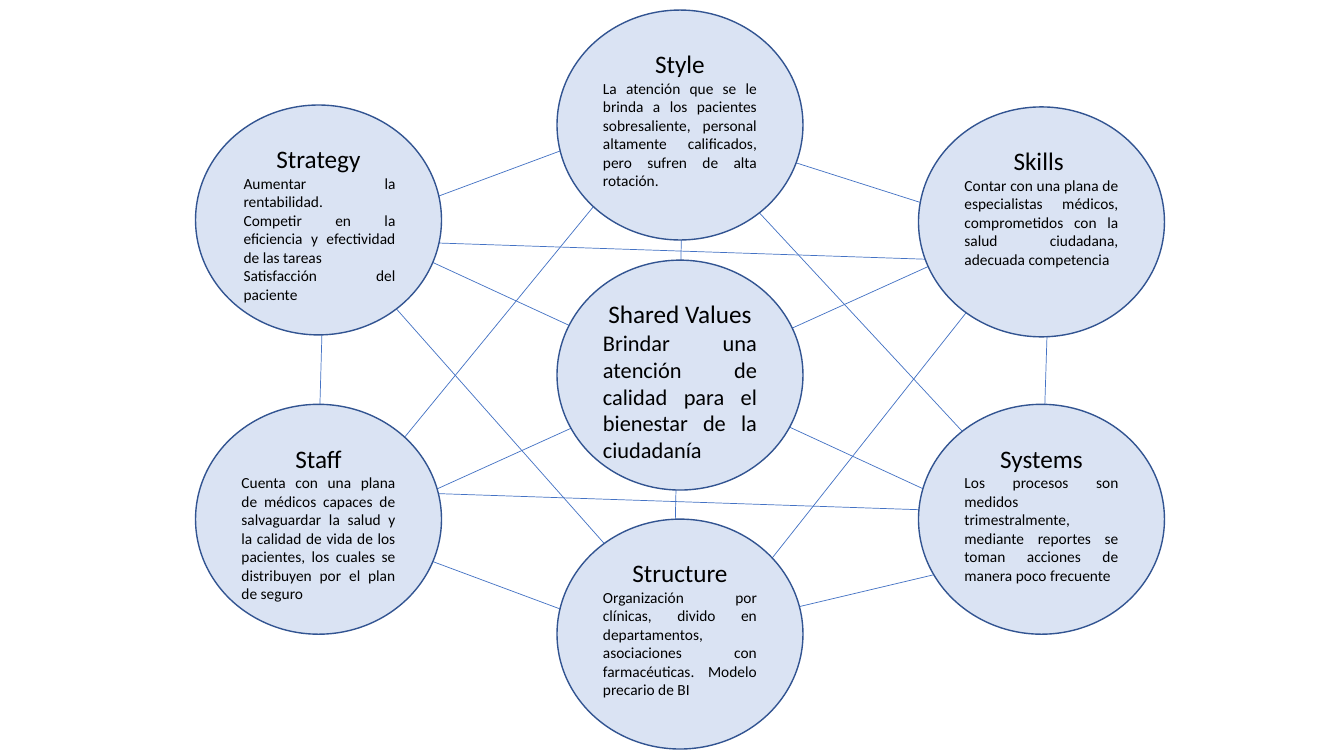
"""Build a 7S diagram: six outer circles linked around the shared values."""
from lxml import etree
from pptx import Presentation
from pptx.dml.color import RGBColor
from pptx.enum.shapes import MSO_CONNECTOR, MSO_SHAPE
from pptx.enum.text import MSO_ANCHOR, PP_ALIGN
from pptx.oxml.ns import qn
from pptx.util import Pt

ELLIPSE, STRAIGHT = MSO_SHAPE.OVAL, MSO_CONNECTOR.STRAIGHT
TOP, CENTER, JUSTIFY = MSO_ANCHOR.TOP, PP_ALIGN.CENTER, PP_ALIGN.JUSTIFY

WHITE = RGBColor(0xFF, 0xFF, 0xFF)
BLACK = RGBColor(0, 0, 0)
PALE_BLUE = RGBColor(0xDA, 0xE3, 0xF3)
DARK_BLUE = RGBColor(0x32, 0x54, 0x91)
LINK_BLUE = RGBColor(0x44, 0x72, 0xC4)
FONT = "Calibri"
TITLE_SIZE = 18

CIRCLE_WIDTH, CIRCLE_HEIGHT = 175.7, 164.2
FIRST_LEFT, COLUMN_STEP = 139.7, 258.2

LINKS = [
    ((764.6, 188.6), (247, 171.4)),
    ((750.2, 367.2), (231.8, 349.9)),
    ((743.8, 155.5), (499, 465.1)),
    ((223.9, 369.4), (511.9, 476.6)),
    ((231.8, 162.7), (499.7, 465.1)),
    ((761.8, 388.1), (488.2, 452.9)),
    ((750.2, 375.8), (488.2, 93.6)),
    ((750.2, 166.3), (743.8, 369.4)),
    ((231.8, 172.8), (226.1, 375.8)),
    ((745.9, 172.8), (483.8, 89.3)),
    ((229.7, 386.6), (733.7, 158.4)),
    ((480.2, 473.8), (488.2, 100.8)),
    ((228.2, 386.6), (462.2, 100.8)),
    ((246.2, 158.4), (743.8, 388.1)),
    ((267.8, 157), (450, 89.3)),
]

# title, column, top, body size, body indent, body paragraphs
CIRCLES = [
    ("Style", 1, 7.2, 11, 0, [
        "La atención que se le brinda a los pacientes sobresaliente, personal "
        "altamente calificados, pero sufren de alta rotación."]),
    ("Strategy", 0, 75, 11, 1.5, [
        "Aumentar la rentabilidad.",
        "Competir en la eficiencia y efectividad de las tareas",
        "Satisfacción del paciente"]),
    ("Staff", 0, 288.8, 11, 0, [
        "Cuenta con una plana de médicos capaces de salvaguardar la salud y la "
        "calidad de vida de los pacientes, los cuales se distribuyen por el "
        "plan de seguro "]),
    ("Structure", 1, 370.8, 11, 0, [
        "Organización por clínicas, divido en departamentos, asociaciones con "
        "farmacéuticas. Modelo precario de BI"]),
    ("Systems", 2, 288.8, 11, 0, [
        "Los procesos son medidos trimestralmente, mediante reportes se toman "
        "acciones de manera poco frecuente"]),
    ("Skills ", 2, 76.4, 11, 0, [
        "Contar con una plana de especialistas médicos, comprometidos con la "
        "salud ciudadana, adecuada competencia"]),
    ("Shared Values", 1, 185.8, 16, 0, [
        "Brindar una atención de calidad para el bienestar de la ciudadanía"]),
]


def add_link(page, start, end):
    """Draw one thin line between two points."""
    link = page.shapes.add_connector(
        STRAIGHT, *(Pt(length) for length in start + end))
    link.line.color.rgb = LINK_BLUE
    link.line.width = Pt(0.5)
    etree.SubElement(link._element.spPr, qn("a:effectLst"))


def add_circle(page, title, column, top, size, indent, body):
    """Draw one circle with a centred title and justified body text."""
    left = FIRST_LEFT + column * COLUMN_STEP
    circle = page.shapes.add_shape(
        ELLIPSE, Pt(left), Pt(top), Pt(CIRCLE_WIDTH), Pt(CIRCLE_HEIGHT))
    circle.shadow.inherit = False
    circle.fill.solid()
    circle.fill.fore_color.rgb = PALE_BLUE
    circle.line.color.rgb = DARK_BLUE
    circle.line.width = Pt(1)
    frame = circle.text_frame
    frame.word_wrap = True
    frame.vertical_anchor = TOP
    frame.text = "\n".join([title] + body)
    for number, para in enumerate(frame.paragraphs):
        para.alignment = JUSTIFY if number else CENTER
        if number and indent:
            para._p.get_or_add_pPr().set("marL", str(Pt(indent)))
        for span in para.runs:
            span.font.name = FONT
            span.font.size = Pt(size if number else TITLE_SIZE)
            span.font.color.rgb = BLACK


deck = Presentation()
deck.slide_width, deck.slide_height = Pt(960), Pt(540)
page = deck.slides.add_slide(deck.slide_layouts[6])
page.background.fill.solid()
page.background.fill.fore_color.rgb = WHITE
for start, end in LINKS:
    add_link(page, start, end)
for circle in CIRCLES:
    add_circle(page, *circle)
deck.save("out.pptx")
